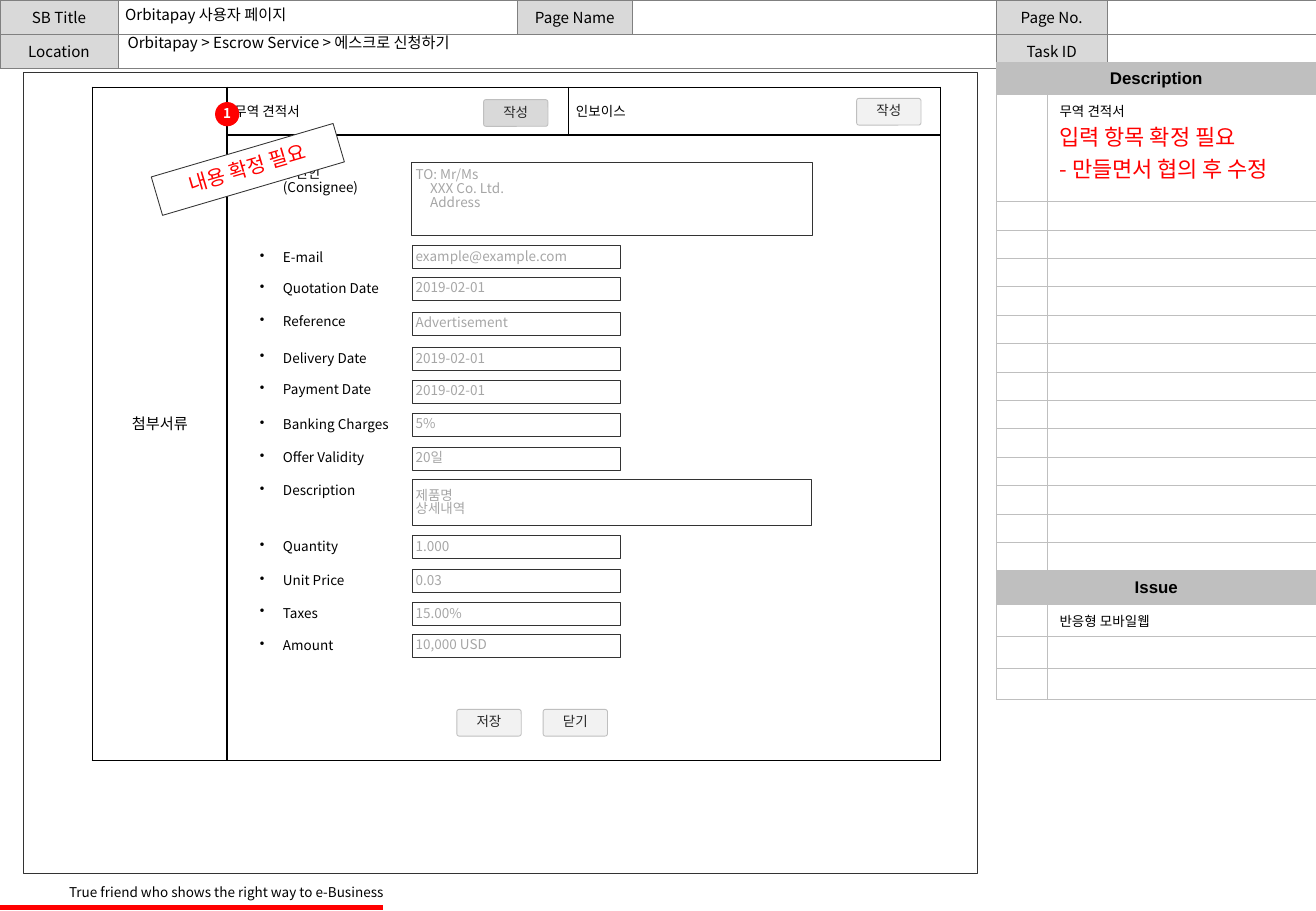
from lxml import etree
from pptx import Presentation
from pptx.dml.color import RGBColor as RGB
from pptx.enum.shapes import MSO_CONNECTOR as LINK, MSO_SHAPE as KIND
from pptx.enum.text import MSO_ANCHOR as ANCHOR, PP_ALIGN as ALIGN
from pptx.oxml.ns import qn
from pptx.util import Inches, Pt

FONT = "Noto Sans CJK KR"
BLACK = RGB(0, 0, 0)
WHITE = RGB(255, 255, 255)
RED = RGB(255, 0, 0)
DARK = RGB(0x33, 0x33, 0x33)
INK = RGB(0x26, 0x26, 0x26)
HINT = RGB(0xA6, 0xA6, 0xA6)
GREY = RGB(0x80, 0x80, 0x80)
SILVER = RGB(0xBF, 0xBF, 0xBF)
LIGHT = RGB(0xD9, 0xD9, 0xD9)
PALE = RGB(0xF2, 0xF2, 0xF2)

# Label, label top, label width, hint, field top
FIELDS = [
    ("E-mail", 2.02, 1.32, "example@example.com", 2.02),
    ("Quotation Date", 2.28, 1.36, "2019-02-01", 2.28),
    ("Reference", 2.55, 1.09, "Advertisement", 2.57),
    ("Delivery Date", 2.85, 1.32, "2019-02-01", 2.86),
    ("Payment Date", 3.11, 1.32, "2019-02-01", 3.13),
    ("Banking Charges", 3.4, 1.58, "5%", 3.4),
    ("Offer Validity", 3.67, 1.16, "20일", 3.68),
    ("Quantity", 4.4, 1.32, "1.000", 4.41),
    ("Unit Price", 4.68, 1.16, "0.03", 4.69),
    ("Taxes", 4.95, 1.09, "15.00%", 4.96),
    ("Amount", 5.22, 1.32, "10,000 USD", 5.22),
]
BUTTONS = [
    ("작성", 3.98, 0.82, LIGHT),
    ("작성", 7.05, 0.81, PALE),
    ("저장", 3.76, 5.84, PALE),
    ("닫기", 4.47, 5.84, PALE),
]


def write(frame, *lines, size=8, color=BLACK, bold=False, font=FONT,
          align=ALIGN.LEFT, space=0.85, left=0, bullet=False):
    """Add each line as a paragraph after any text already there."""
    for line in lines:
        para = frame.paragraphs[0]
        if para.runs:
            para = frame.add_paragraph()
        props = para._p.get_or_add_pPr()
        if left:
            props.set("marL", str(Inches(left)))
        if bullet:
            props.set("indent", str(-Inches(left)))
            etree.SubElement(props, qn("a:buChar"), char="•")
        para.alignment = align
        para.line_spacing = space
        run = para.add_run()
        run.text = line
        run.font.size = Pt(size)
        run.font.bold = bold
        run.font.name = font
        run.font.color.rgb = color
        etree.SubElement(run._r.get_or_add_rPr(), qn("a:ea"), typeface=FONT)


def pad(frame, left, top, right, base):
    frame.margin_left, frame.margin_top = Inches(left), Inches(top)
    frame.margin_right, frame.margin_bottom = Inches(right), Inches(base)


def label(slide, box, *lines, wrap=True, **form):
    frame = slide.shapes.add_textbox(*map(Inches, box)).text_frame
    frame.word_wrap = wrap
    write(frame, *lines, **form)
    return frame


def shape(slide, kind, box, fill=None, line=DARK, inset=0.0):
    item = slide.shapes.add_shape(kind, *map(Inches, box))
    item.shadow.inherit = False
    if fill is None:
        item.fill.background()
    else:
        item.fill.solid()
        item.fill.fore_color.rgb = fill
    if line is None:
        item.line.fill.background()
    else:
        item.line.color.rgb = line
        item.line.width = Pt(0.5)
    pad(item.text_frame, inset, 0.05, 0, 0.05)
    item.text_frame.vertical_anchor = ANCHOR.MIDDLE
    return item


def field(slide, box, *lines):
    item = shape(slide, KIND.RECTANGLE, box, inset=0.03)
    write(item.text_frame, *lines, color=HINT)
    return item.text_frame


def button(slide, text, left, top, fill):
    item = shape(slide, KIND.ROUNDED_RECTANGLE, (left, top, 0.53, 0.22), fill, SILVER)
    item.adjustments[0] = 0.09
    write(item.text_frame, text, color=INK, align=ALIGN.CENTER)


def grid(slide, left, top, cols, rows):
    size = map(Inches, (left, top, sum(cols), sum(rows)))
    table = slide.shapes.add_table(len(rows), len(cols), *size).table
    table.first_row = table.horz_banding = False
    for col, width in zip(table.columns, cols):
        col.width = Inches(width)
    for row, height in zip(table.rows, rows):
        row.height = Inches(height)
    return table


def fill_cell(cell, color, *lines, **form):
    cell.fill.solid()
    cell.fill.fore_color.rgb = color
    cell.vertical_anchor = ANCHOR.MIDDLE
    write(cell.text_frame, *lines, **form)


def finish(table, color, width):
    """Rule all cells, and keep the blank ones clear and low."""
    for cell in table.iter_cells():
        if not cell.text:
            cell.fill.background()
            etree.SubElement(cell.text_frame.paragraphs[0]._p,
                             qn("a:endParaRPr"), sz="600")
        props = cell._tc.get_or_add_tcPr()
        for i, side in enumerate(("lnL", "lnR", "lnT", "lnB")):
            edge = etree.Element(qn("a:" + side), w=str(Pt(width)))
            paint = etree.SubElement(edge, qn("a:solidFill"))
            etree.SubElement(paint, qn("a:srgbClr"), val=str(color))
            props.insert(i, edge)


def header(slide):
    table = grid(slide, 0, 0, (0.97, 3.29, 0.94, 3, 0.91, 1.72), (0.28, 0.28))
    table.cell(1, 1).merge(table.cell(1, 3))
    names = {(0, 0): "SB Title", (0, 2): "Page Name", (0, 4): "Page No.",
             (1, 0): "Location", (1, 4): "Task ID"}
    for spot, name in names.items():
        fill_cell(table.cell(*spot), LIGHT, name, size=9, align=ALIGN.CENTER, space=1)
    finish(table, GREY, 0.25)


def side(slide):
    rows = [0.27, 0.88] + [0.234] * 13 + [0.28] + [0.26] * 3
    table = grid(slide, 8.2, 0.51, (0.42, 2.21), rows)
    for row, name in ((0, "Description"), (15, "Issue")):
        table.cell(row, 0).merge(table.cell(row, 1))
        fill_cell(table.cell(row, 0), SILVER, name, size=10, bold=True,
                  font="Arial", align=ALIGN.CENTER, space=1)
    note = table.cell(1, 1)
    note.fill.background()
    write(note.text_frame, "무역 견적서", space=1)
    write(note.text_frame, "입력 항목 확정 필요", "- 만들면서 협의 후 수정",
          size=13, color=RED, space=1)
    issue = table.cell(16, 1)
    issue.fill.background()
    issue.vertical_anchor = ANCHOR.MIDDLE
    write(issue.text_frame, "반응형 모바일웹", space=1)
    finish(table, SILVER, 0.5)


def panel(slide):
    table = grid(slide, 0.76, 0.72, (1.11, 2.81, 3.06), (0.39, 5.15))
    table.cell(0, 0).merge(table.cell(1, 0))
    table.cell(1, 1).merge(table.cell(1, 2))
    fill_cell(table.cell(0, 0), WHITE, "첨부서류", size=9, font="Arial",
              align=ALIGN.CENTER)
    for col, name in ((1, "무역 견적서"), (2, "인보이스")):
        cell = table.cell(0, col)
        fill_cell(cell, WHITE, name)
        pad(cell, 0.06, 0.01, 0.01, 0)
    finish(table, BLACK, 1)


def form(slide):
    mark = {"left": 0.19, "bullet": True}
    label(slide, (2.04, 1.33, 1.16, 0.37), "수신인(Consignee)", **mark)
    label(slide, (2.04, 3.94, 1.32, 0.24), "Description", **mark)
    for name, top, width, hint, level in FIELDS:
        label(slide, (2.04, top, width, 0.24), name, **mark)
        field(slide, (3.39, level, 1.72, 0.19), hint)
    frame = field(slide, (3.39, 1.34, 3.3, 0.6), "TO: Mr/Ms")
    frame.vertical_anchor = ANCHOR.TOP
    write(frame, "XXX Co. Ltd.", "Address", color=HINT, left=0.12)
    field(slide, (3.39, 3.95, 3.29, 0.38), "제품명", "상세내역")
    for item in BUTTONS:
        button(slide, *item)


def heads(slide):
    title = slide.shapes.title
    title.left, title.top, title.width, title.height = map(
        Inches, (0.99, 0.01, 3.25, 0.24))
    write(title.text_frame, "Orbitapay 사용자 페이지", size=9, space=0.9)
    place = label(slide, (1.01, 0.24, 3.25, 0.24),
                  "Orbitapay > Escrow Service > 에스크로 신청하기", size=9, space=0.9)
    for frame in (title.text_frame, place):
        pad(frame, 0.04, 0.04, 0.04, 0.04)
        frame.vertical_anchor = ANCHOR.MIDDLE


def main():
    deck = Presentation()
    deck.slide_width, deck.slide_height = Inches(10.83), Inches(7.5)
    slide = deck.slides.add_slide(deck.slide_layouts[5])
    # Header and footer
    header(slide)
    rule = slide.shapes.add_connector(
        LINK.STRAIGHT, *map(Inches, (0, 7.47, 3.15, 7.47)))
    rule.line.color.rgb = RED
    rule.line.width = Pt(3)
    etree.SubElement(rule._element.spPr, qn("a:effectLst"))
    label(slide, (0.47, 7.25, 2.88, 0.24),
          "True friend who shows the right way to e-Business", wrap=False)
    # Description column
    side(slide)
    # Page frame and form
    shape(slide, KIND.RECTANGLE, (0.19, 0.6, 7.85, 6.59))
    panel(slide)
    form(slide)
    heads(slide)
    # Review marks
    memo = shape(slide, KIND.RECTANGLE, (1.26, 1.23, 1.56, 0.33), WHITE)
    memo.rotation = 343.6
    write(memo.text_frame, "내용 확정 필요", size=12, color=RED, align=ALIGN.CENTER)
    badge = shape(slide, KIND.OVAL, (1.77, 0.84, 0.2, 0.2), RED, None)
    write(badge.text_frame, "1", color=WHITE, bold=True, align=ALIGN.CENTER)
    deck.save("out.pptx")


if __name__ == "__main__":
    main()
